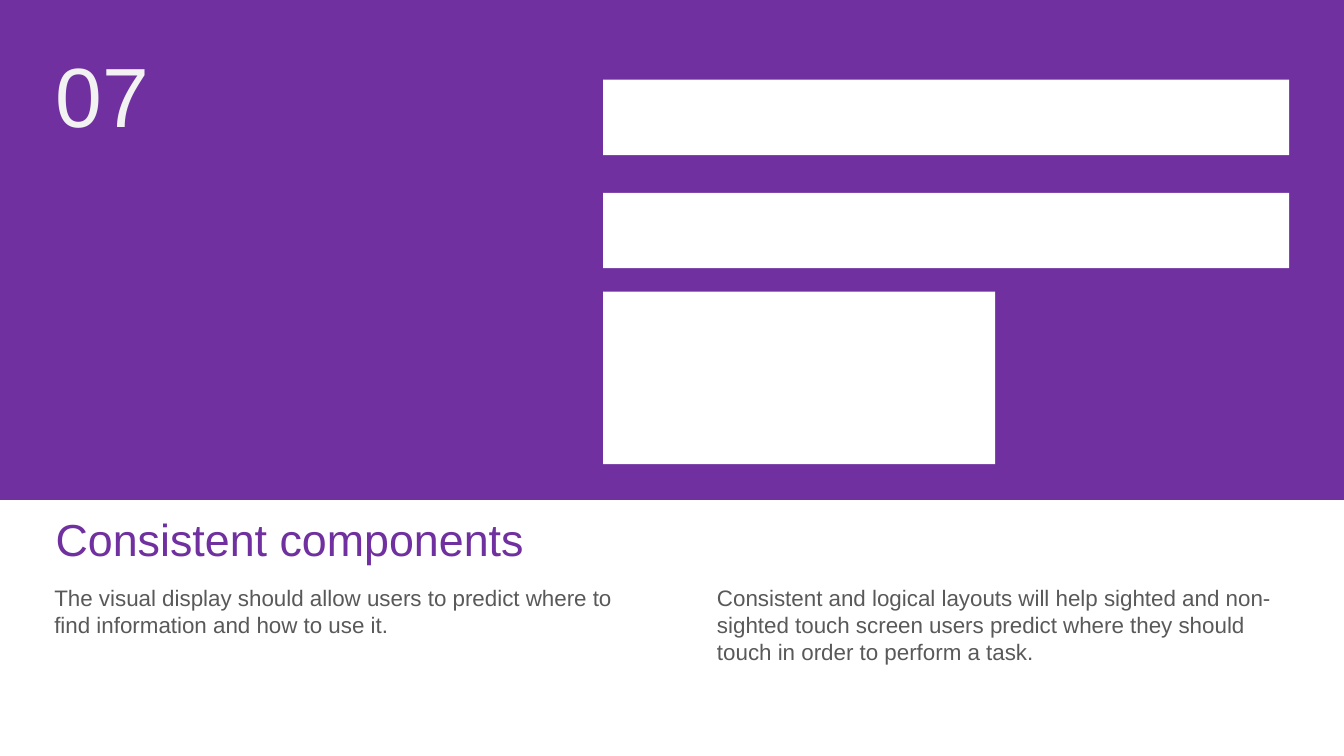
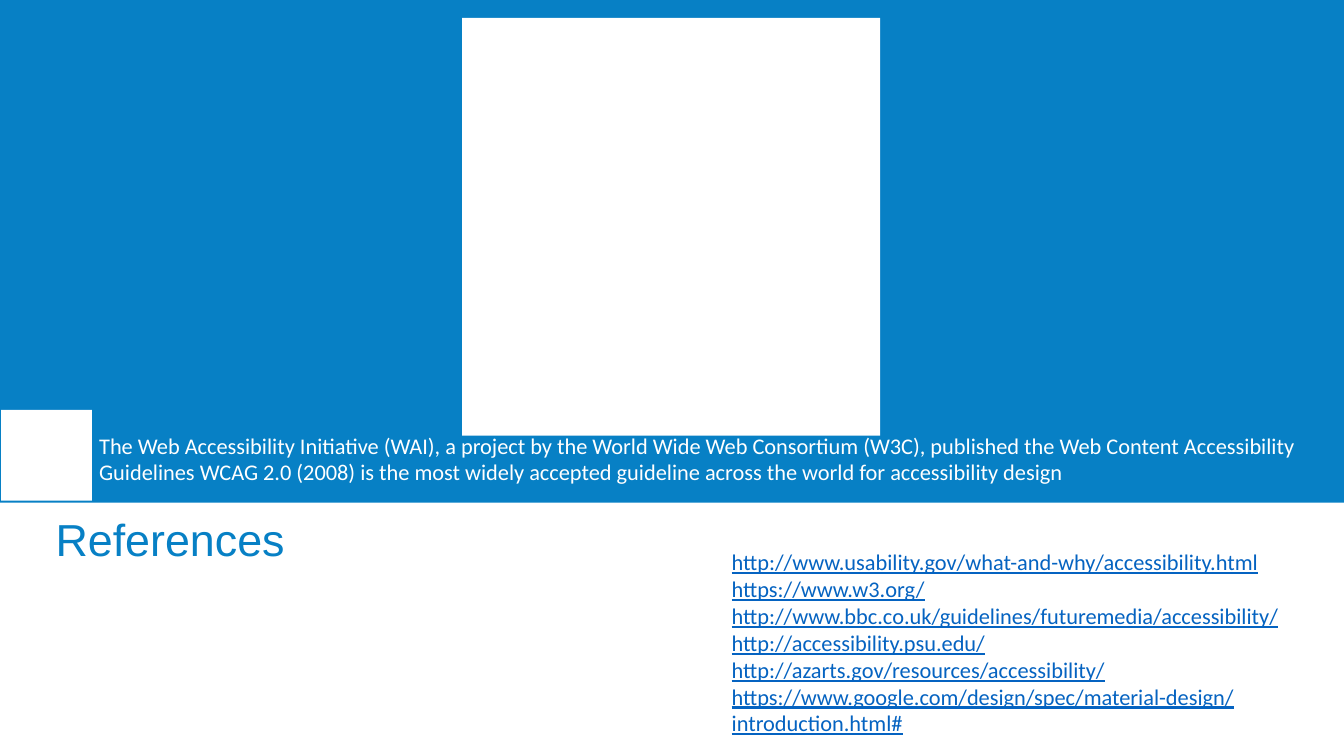
from dataclasses import dataclass

from pptx import Presentation
from pptx.dml.color import RGBColor as RGB
from pptx.enum.shapes import MSO_SHAPE as Shape
from pptx.enum.text import MSO_ANCHOR as Anchor, MSO_AUTO_SIZE as AutoSize, PP_ALIGN as Align
from pptx.util import Cm, Pt


@dataclass(frozen=True)
class Theme:
    purple: RGB = RGB(0x70, 0x30, 0xA0)
    blue: RGB = RGB(0x07, 0x80, 0xC5)
    link: RGB = RGB(0x05, 0x63, 0xC1)
    grey: RGB = RGB(0x59, 0x59, 0x59)
    pale: RGB = RGB(0xF2, 0xF2, 0xF2)
    white: RGB = RGB(0xFF, 0xFF, 0xFF)
    sans: str = "Arial"
    humanist: str = "Calibri"
    number: Pt = Pt(60)
    title: Pt = Pt(32)
    body: Pt = Pt(16)


theme = Theme()


def write(holder, place, lines, font, size, colour, underline=None):
    holder.left, holder.top, holder.width, holder.height = (Cm(v) for v in place)
    frame = holder.text_frame
    frame.text = "\n".join(lines)
    frame.word_wrap = True
    frame.auto_size = AutoSize.NONE
    frame.vertical_anchor = Anchor.TOP
    frame.margin_left = frame.margin_right = frame.margin_top = frame.margin_bottom = 0
    for paragraph in frame.paragraphs:
        paragraph.alignment = Align.LEFT
        paragraph.font.name = font
        paragraph.font.size = size
        paragraph.font.color.rgb = colour
        paragraph.font.underline = underline


def add_block(slide, place, colour):
    block = slide.shapes.add_shape(Shape.RECTANGLE, *(Cm(v) for v in place))
    block.fill.solid()
    block.fill.fore_color.rgb = colour
    block.line.fill.background()
    block.shadow.inherit = False


deck = Presentation()
deck.slide_width, deck.slide_height = Cm(33.87), Cm(19.05)

topics = [
    {
        "title": "Consistent components",
        "colour": theme.purple,
        "band": 12.6,
        "panels": [(15.2, 2.01, 17.29, 1.9), (15.2, 4.86, 17.29, 1.9), (15.2, 7.35, 9.88, 4.35)],
        "texts": [
            ((1.4, 1.1, 4.8, 2.57), ["07"], theme.sans, theme.number, theme.pale),
            (
                (1.37, 14.73, 14.8, 1.4),
                ["The visual display should allow users to predict where to find information and how to use it."],
                theme.sans, theme.body, theme.grey,
            ),
            (
                (18.07, 14.73, 14.43, 2.06),
                ["Consistent and logical layouts will help sighted and non-sighted touch screen users "
                 "predict where they should touch in order to perform a task."],
                theme.sans, theme.body, theme.grey,
            ),
        ],
    },
    {
        "title": "References",
        "colour": theme.blue,
        "band": 12.67,
        "panels": [(11.65, 0.45, 10.53, 10.53), (0.03, 10.33, 2.29, 2.29)],
        "texts": [
            (
                (2.5, 10.88, 31.1, 1.4),
                ["The Web Accessibility Initiative (WAI), a project by the World Wide Web Consortium (W3C), "
                 "published the Web Content Accessibility Guidelines WCAG 2.0 (2008) is the most widely "
                 "accepted guideline across the world for accessibility design"],
                theme.humanist, theme.body, theme.white,
            ),
            (
                (18.44, 13.82, 14.78, 4.9),
                [
                    "http://www.usability.gov/what-and-why/accessibility.html",
                    "https://www.w3.org/",
                    "http://www.bbc.co.uk/guidelines/futuremedia/accessibility/",
                    "http://accessibility.psu.edu/",
                    "http://azarts.gov/resources/accessibility/",
                    "https://www.google.com/design/spec/material-design/introduction.html#",
                ],
                theme.humanist, theme.body, theme.link, True,
            ),
        ],
    },
]

for topic in topics:
    slide = deck.slides.add_slide(deck.slide_layouts[5])
    write(slide.shapes.title, (1.4, 12.9, 18.6, 1.37), [topic["title"]],
          theme.sans, theme.title, topic["colour"])
    add_block(slide, (0, 0, 33.87, topic["band"]), topic["colour"])
    for panel in topic["panels"]:
        add_block(slide, panel, theme.white)
    for place, *content in topic["texts"]:
        write(slide.shapes.add_textbox(0, 0, 0, 0), place, *content)

deck.save("out.pptx")
